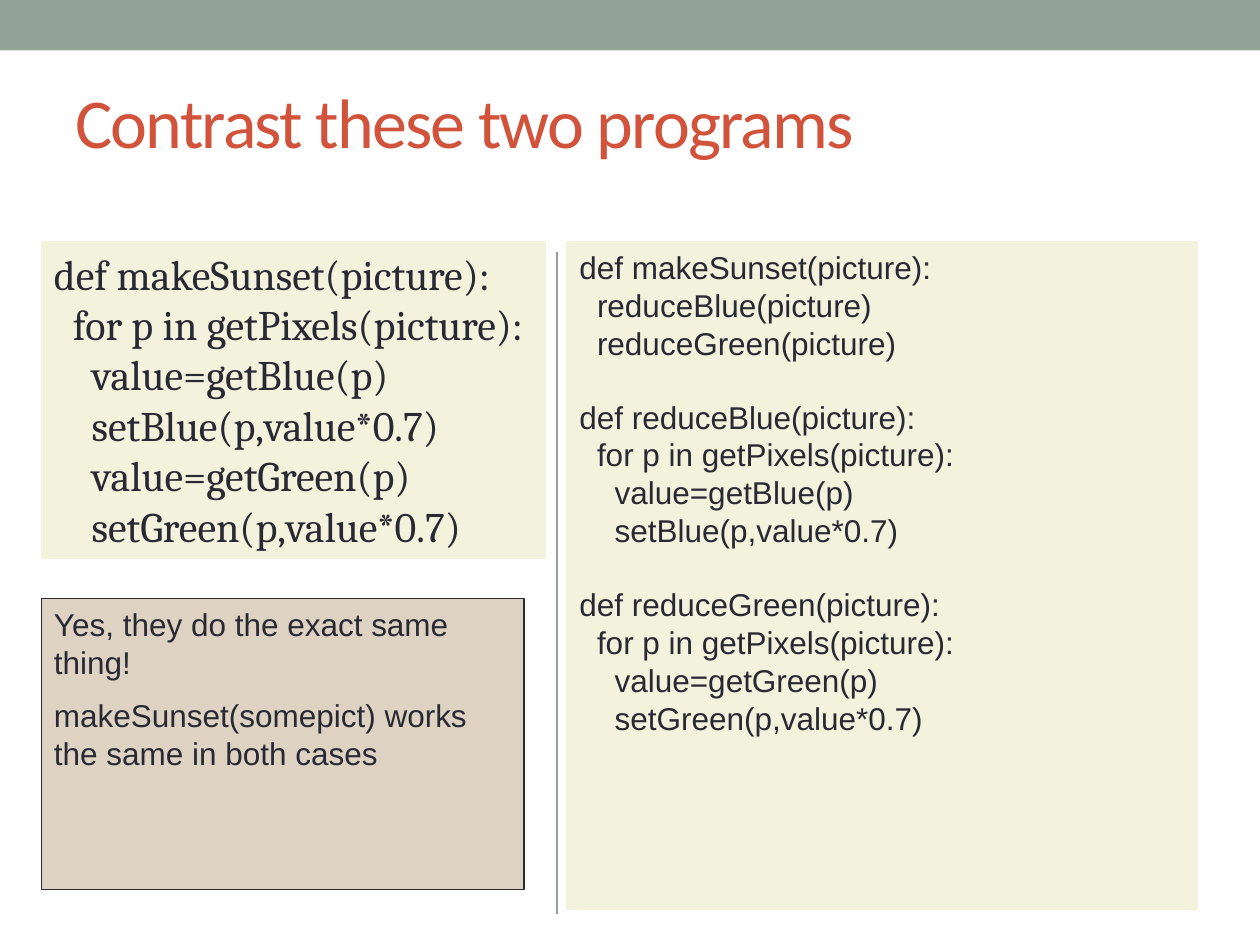
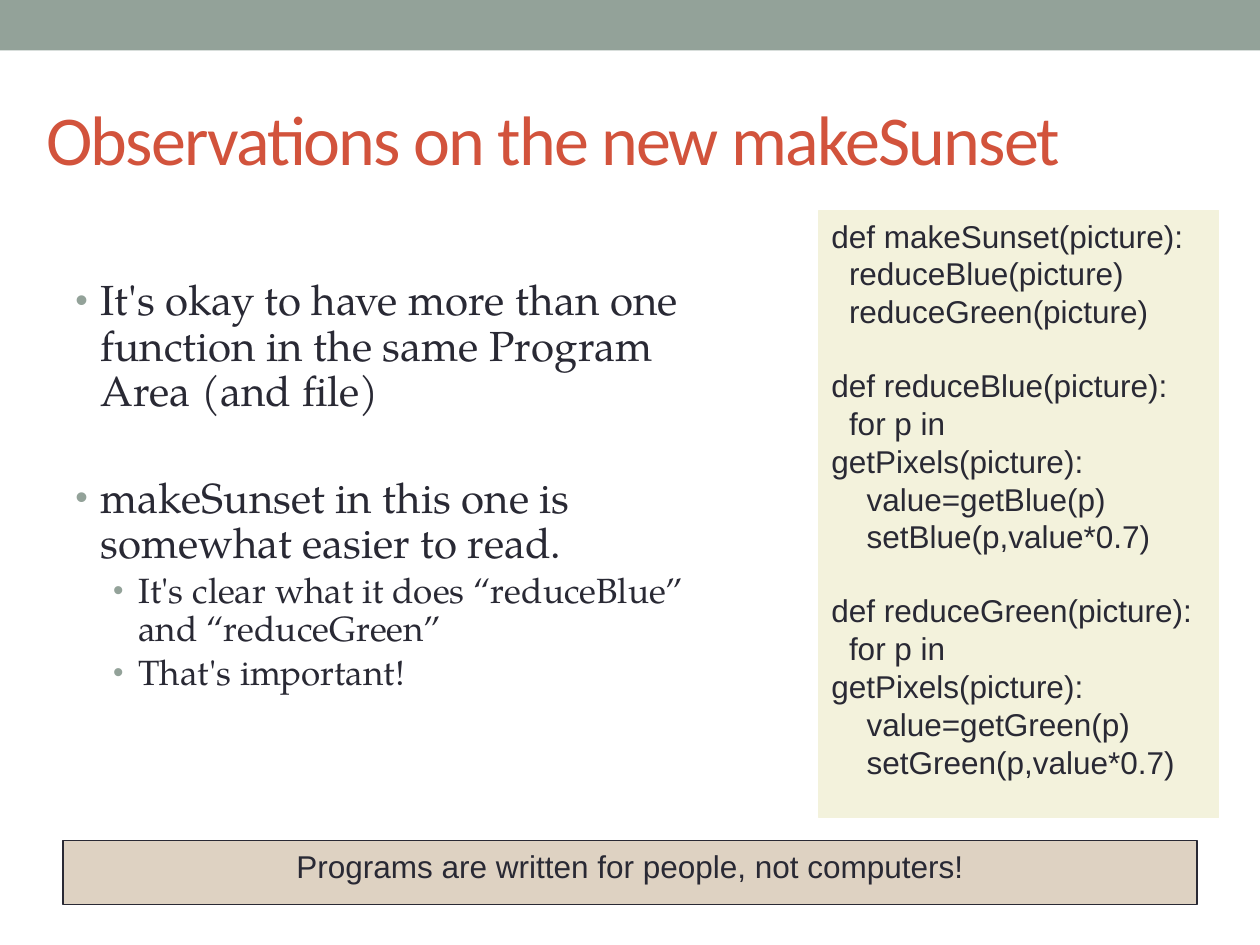
from lxml import etree
from pptx import Presentation
from pptx import util as u
from pptx.dml.color import RGBColor
from pptx.enum import shapes, text
from pptx.oxml.ns import qn

rgb = RGBColor.from_string
SAGE, RUST, INK = "93A299", "D2533C", "292934"
CREAM, TAN = "F3F2DC", "DED2C2"

SHORT_PROGRAM = """def makeSunset(picture):
  for p in getPixels(picture):
    value=getBlue(p)
    setBlue(p,value*0.7)
    value=getGreen(p)
    setGreen(p,value*0.7)"""

SPLIT_PROGRAM = """def makeSunset(picture):
  reduceBlue(picture)
  reduceGreen(picture)

def reduceBlue(picture):
  for p in getPixels(picture):
    value=getBlue(p)
    setBlue(p,value*0.7)

def reduceGreen(picture):
  for p in getPixels(picture):
    value=getGreen(p)
    setGreen(p,value*0.7)"""


def add_panel(slide, box, fill, line, lines, font="Arial", size=18):
    """Add a filled rectangle with one paragraph per line of text."""
    panel = slide.shapes.add_shape(shapes.MSO_SHAPE.RECTANGLE, *map(u.Inches, box))
    panel.shadow.inherit = False
    panel.fill.solid()
    panel.fill.fore_color.rgb = rgb(fill)
    panel.line.color.rgb = rgb(line)
    panel.line.width = u.Pt(0.75)
    panel.text_frame.vertical_anchor = text.MSO_ANCHOR.TOP
    panel.text_frame.text = "\n".join(lines)
    for paragraph in panel.text_frame.paragraphs:
        paragraph.alignment = text.PP_ALIGN.LEFT
        paragraph.font.name = font
        paragraph.font.size = u.Pt(size)
        paragraph.font.color.rgb = rgb(INK)
    return panel


def add_program(slide, box, program, font="Arial", size=18):
    """Add a code panel: leading spaces become indents, empty lines become spacing."""
    rows = program.split("\n")
    code = [row for row in rows if row]
    panel = add_panel(slide, box, CREAM, CREAM, [row.strip() for row in code], font, size)
    for row, paragraph in zip(code, panel.text_frame.paragraphs):
        depth = (len(row) - len(row.lstrip())) // 2
        properties = paragraph._p.get_or_add_pPr()
        properties.set("marL", "0")
        properties.set("indent", str(u.Inches(0.14 * size / 18 * depth if font == "Arial" else 0.15 * depth)))
        index = rows.index(row)
        if index and not rows[index - 1]:
            paragraph.space_before = u.Pt(1.15 * size)


presentation = Presentation()
presentation.slide_width, presentation.slide_height = u.Inches(10), u.Inches(7.5)

# Shared band and title
titles = [
    ("Contrast these two programs", (0.5, 0.33, 9, 1.25)),
    ("Observations on the new makeSunset", (0.27, 0.55, 9, 1.08)),
]
for title, box in titles:
    slide = presentation.slides.add_slide(presentation.slide_layouts[6])
    band = slide.shapes.add_shape(shapes.MSO_SHAPE.RECTANGLE, 0, 0, u.Inches(10), u.Inches(0.4))
    band.shadow.inherit = False
    band.fill.solid()
    band.fill.fore_color.rgb = rgb(SAGE)
    band.line.fill.background()

    frame = slide.shapes.add_textbox(*map(u.Inches, box)).text_frame
    frame.word_wrap = True
    frame.vertical_anchor = text.MSO_ANCHOR.MIDDLE
    frame.text = title
    run = frame.paragraphs[0].runs[0]
    run.font.name = "Calibri"
    run.font.size = u.Pt(40)
    run.font.color.rgb = rgb(RUST)
    run.font._element.set("spc", "-100")

contrast, observations = presentation.slides

# Slide 1: two programs side by side
add_program(contrast, (0.33, 1.92, 4, 2.51), SHORT_PROGRAM, "Cambria", 24)
add_program(contrast, (4.5, 1.92, 5, 5.3), SPLIT_PROGRAM)
answer = add_panel(contrast, (0.33, 4.75, 3.83, 2.31), TAN, INK, [
    "Yes, they do the exact same thing!",
    "makeSunset(somepict) works the same in both cases",
])
answer.text_frame.paragraphs[1].space_before = u.Pt(9)

divider = contrast.shapes.add_connector(
    shapes.MSO_CONNECTOR.STRAIGHT, u.Inches(4.42), u.Inches(2), u.Inches(4.42), u.Inches(7.25))
divider.line.color.rgb = rgb(SAGE)
divider.line.width = u.Pt(0.75)
etree.SubElement(divider._element.spPr, qn("a:effectLst"))

# Slide 2: observations beside the split program
points = [  # level, space before, wording
    (0, 0, "It's okay to have more than one function in the same Program Area (and file)"),
    (0, 35, "makeSunset in this one is somewhat easier to read."),
    (1, 3.5, "It's clear what it does “reduceBlue” and “reduceGreen”"),
    (1, 3.5, "That's important!"),
]
frame = observations.shapes.add_textbox(*map(u.Inches, (0.5, 2.17, 5.5, 4.08))).text_frame
frame.word_wrap = True
frame.text = "\n".join(wording for _, _, wording in points)
for (level, space, _), paragraph in zip(points, frame.paragraphs):
    paragraph.level = level
    paragraph.line_spacing = 0.9
    paragraph.space_before = u.Pt(space)
    font = paragraph.runs[0].font
    font.name = "TeX Gyre Pagella"
    font.size = u.Pt(24 - 4 * level)
    font.color.rgb = rgb(INK)
    properties = paragraph._p.get_or_add_pPr()
    properties.set("marL", str(u.Inches(0.2 + 0.3 * level)))
    properties.set("indent", str(u.Inches(-0.2)))
    bullet_color = etree.SubElement(properties, qn("a:buClr"))
    etree.SubElement(bullet_color, qn("a:srgbClr"), val=SAGE)
    etree.SubElement(properties, qn("a:buSzPct"), val="85000")
    etree.SubElement(properties, qn("a:buFont"), typeface="Arial")
    etree.SubElement(properties, qn("a:buChar"), char="•")

add_program(observations, (6.5, 1.67, 3.17, 4.82), SPLIT_PROGRAM)
moral = add_panel(observations, (0.5, 6.67, 9, 0.51), TAN, INK,
                  ["Programs are written for people, not computers!"])
moral.text_frame.paragraphs[0].alignment = text.PP_ALIGN.CENTER

presentation.save("out.pptx")
